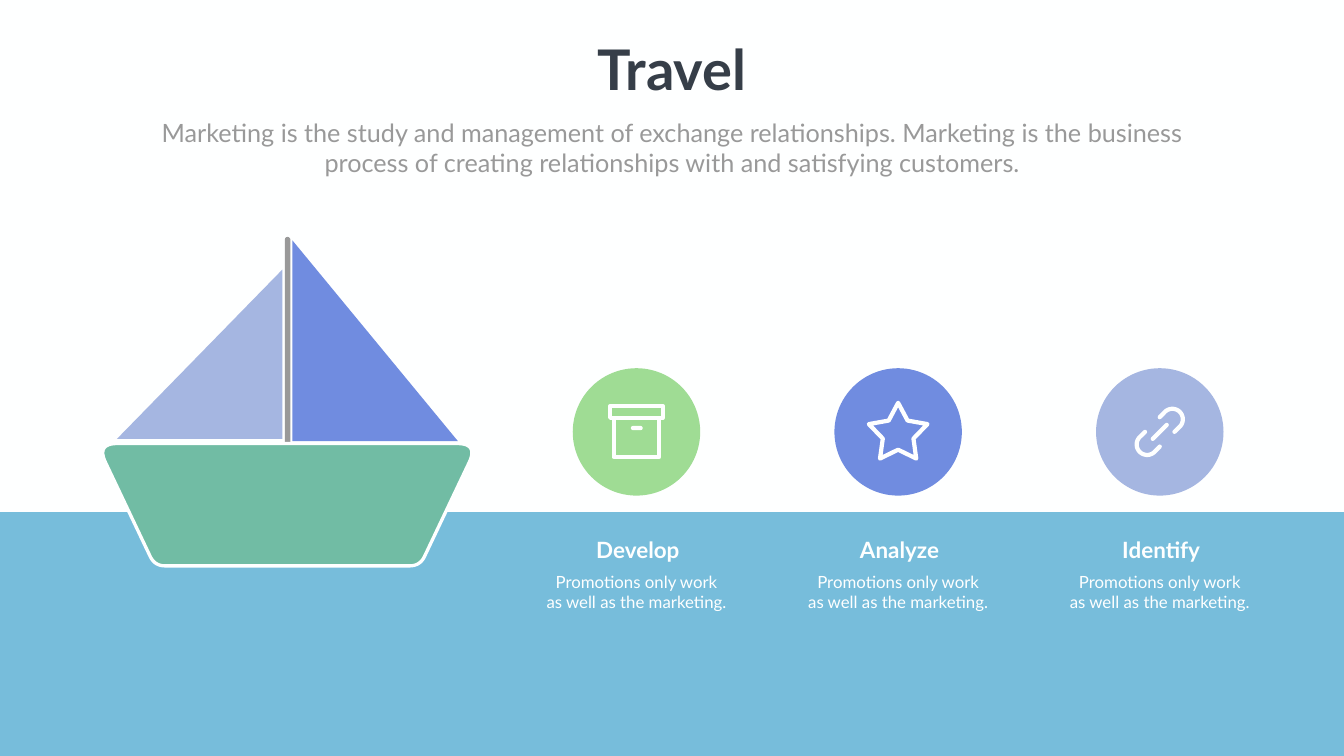
"""Build the Travel slide with a sailing boat and three marketing steps."""
import math

from lxml import etree
from pptx import Presentation, util as u
from pptx.dml.color import RGBColor
from pptx.enum import shapes as kinds, text as t
from pptx.oxml.ns import qn

WHITE, GREY, INK = "FEFFFF", "999999", "363E48"
BLUE, LILAC, GREEN = "708CE0", "A5B6E1", "9FDC94"
WATER, HULL = "77BDDB", "71BCA4"
PRESET = kinds.MSO_SHAPE
FIRST_X, STEP_GAP, ICON_Y = 909, 373.7, 617
BADGE = 182
ICON_STROKE = 6


def color(hex_code):
    """Return the colour for a hex string."""
    return RGBColor.from_string(hex_code)


def paint(shape, fill=None, line=None, weight=0):
    """Set fill and line, with round ends and joins, and remove the shadow."""
    shape.shadow.inherit = False
    if fill:
        shape.fill.solid()
        shape.fill.fore_color.rgb = color(fill)
    else:
        shape.fill.background()
    if line:
        stroke(shape, line, weight)
    else:
        shape.line.fill.background()


def stroke(shape, line, weight):
    """Draw a solid line with round ends and joins."""
    shape.line.color.rgb = color(line)
    shape.line.width = u.Pt(weight)
    outline = shape._element.spPr.find(qn("a:ln"))
    outline.set("cap", "rnd")
    etree.SubElement(outline, qn("a:round"))


def add_preset(slide, kind, box, fill=None, line=None, weight=0):
    """Add a preset shape in a box of left, top, width and height."""
    shape = slide.shapes.add_shape(kind, *map(u.Pt, box))
    paint(shape, fill, line, weight)
    return shape


def add_outline(slide, points, closed, fill=None, line=WHITE, weight=ICON_STROKE):
    """Add a freeform through the points."""
    first, *rest = [(u.Pt(x), u.Pt(y)) for x, y in points]
    builder = slide.shapes.build_freeform(*first)
    builder.add_line_segments(rest, close=closed)
    paint(builder.convert_to_shape(), fill, line, weight)


def round_corners(corners, steps=12):
    """Replace each (x, y, reach) corner by points on a smooth curve."""
    points = []
    for i, (x, y, reach) in enumerate(corners):
        ends = []
        for nx, ny, _ in (corners[i - 1], corners[(i + 1) % len(corners)]):
            part = reach / math.dist((x, y), (nx, ny))
            ends.append((x + (nx - x) * part, y + (ny - y) * part))
        (ax, ay), (bx, by) = ends
        for k in range(steps + 1):
            s = k / steps
            a, v, b = (1 - s) ** 2, 2 * s * (1 - s), s ** 2
            points.append((a * ax + v * x + b * bx, a * ay + v * y + b * by))
    return points


def write(holder, box, lines, size, hue, bold=False, wrap=True):
    """Place a text holder and fill it with centred lines."""
    holder.left, holder.top, holder.width, holder.height = map(u.Pt, box)
    frame = holder.text_frame
    frame.text = "\n".join(lines)
    frame.word_wrap = wrap
    frame.auto_size = t.MSO_AUTO_SIZE.NONE
    frame.vertical_anchor = t.MSO_ANCHOR.TOP
    for paragraph in frame.paragraphs:
        paragraph.alignment = t.PP_ALIGN.CENTER
        paragraph.space_before = u.Pt(0)
        paragraph.font.name = "Lato"
        paragraph.font.size = u.Pt(size)
        paragraph.font.bold = bold
        paragraph.font.color.rgb = color(hue)


def add_label(slide, box, lines, size, bold=False):
    """Add white text in a new text box."""
    write(slide.shapes.add_textbox(0, 0, 0, 0), box, lines, size, WHITE, bold)


def draw_boat(slide):
    """Draw the mast, the water, the hull and both sails."""
    add_preset(slide, PRESET.ROUNDED_RECTANGLE, (406.8, 338.4, 7.9, 304), GREY).adjustments[0] = 0.5
    add_preset(slide, PRESET.RECTANGLE, (0, 731.5, 1919.52, 348.5), WATER)
    hull = [(137.8, 633.6, 30), (683, 633.6, 30), (599.9, 808.4, 15), (221, 808.4, 15)]
    add_outline(slide, round_corners(hull), True, HULL, weight=4.7)
    add_preset(slide, PRESET.RIGHT_TRIANGLE, (417.6, 343.4, 236.2, 286.6), BLUE)
    rear_sail = add_preset(slide, PRESET.RIGHT_TRIANGLE, (167, 385.2, 236.2, 241.9), LILAC)
    rear_sail._element.spPr.xfrm.set("flipH", "1")


def draw_archive(slide, x, y):
    """Draw the archive box icon around a centre."""
    for box in ((x - 37.5, y - 37, 75, 17), (x - 32.5, y - 20, 65, 56)):
        add_preset(slide, PRESET.RECTANGLE, box, line=WHITE, weight=ICON_STROKE)
    handle = add_preset(slide, PRESET.ROUNDED_RECTANGLE, (x - 8, y - 8.5, 17, 6), WHITE)
    handle.adjustments[0] = 0.5


def draw_star(slide, x, y):
    """Draw the star icon around a centre."""
    points = []
    for i in range(10):
        angle, radius = math.radians(36 * i - 90), (44, 23)[i % 2]
        points.append((x + radius * math.cos(angle), y + 2.5 + radius * math.sin(angle)))
    add_outline(slide, points, True)


def draw_link(slide, x, y):
    """Draw the chain link icon around a centre."""
    arc = [math.radians(angle) for angle in range(225, 44, -10)]
    half = [(-21, 0), *((15 * math.cos(a) - 18, 15 * math.sin(a) + 18) for a in arc), (0, 21)]
    for sign in (1, -1):
        add_outline(slide, [(x + sign * dx, y + sign * dy) for dx, dy in half], False)
    ends = map(u.Pt, (x - 10, y + 10, x + 10, y - 10))
    bar = slide.shapes.add_connector(kinds.MSO_CONNECTOR.STRAIGHT, *ends)
    stroke(bar, WHITE, ICON_STROKE)
    etree.SubElement(bar._element.spPr, qn("a:effectLst"))


def draw_step(slide, x, name, fill, draw_icon):
    """Draw one step: badge, icon, heading and description."""
    badge = (x - BADGE / 2, ICON_Y - BADGE / 2, BADGE, BADGE)
    add_preset(slide, PRESET.OVAL, badge, fill)
    draw_icon(slide, x, ICON_Y)
    add_label(slide, (x - 88.4, 761.8, 180.8, 46), [name], 32, bold=True)
    description = ["Promotions only work", "as well as the marketing."]
    add_label(slide, (x - 139.3, 812.9, 278.6, 65.5), description, 24)


def main():
    """Build the slide and save it."""
    deck = Presentation()
    deck.slide_width, deck.slide_height = u.Pt(1919.52), u.Pt(1080)
    slide = deck.slides.add_slide(deck.slide_layouts[0])
    slide.background.fill.solid()
    slide.background.fill.fore_color.rgb = color(WHITE)
    draw_boat(slide)
    write(slide.shapes.title, (838.8, 45.4, 241.9, 104.4), ["Travel"], 80, INK, True, False)
    summary = ("Marketing is the study and management of exchange relationships. "
               "Marketing is the business process of creating relationships with "
               "and satisfying customers.")
    write(slide.placeholders[1], (193, 164.2, 1533.6, 94.3), [summary], 36, GREY)
    steps = [("Develop", GREEN, draw_archive), ("Analyze", BLUE, draw_star),
             ("Identify", LILAC, draw_link)]
    for i, (name, fill, draw_icon) in enumerate(steps):
        draw_step(slide, FIRST_X + i * STEP_GAP, name, fill, draw_icon)
    deck.save("out.pptx")


if __name__ == "__main__":
    main()
